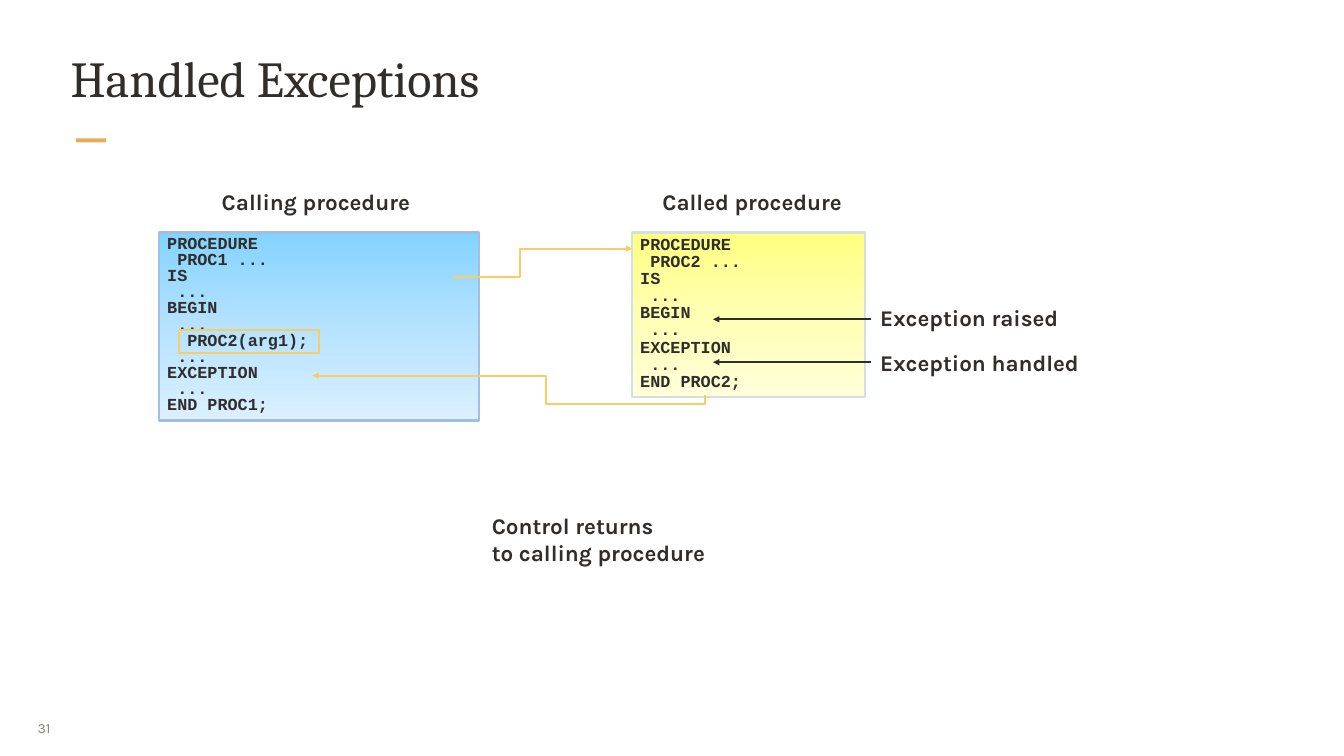
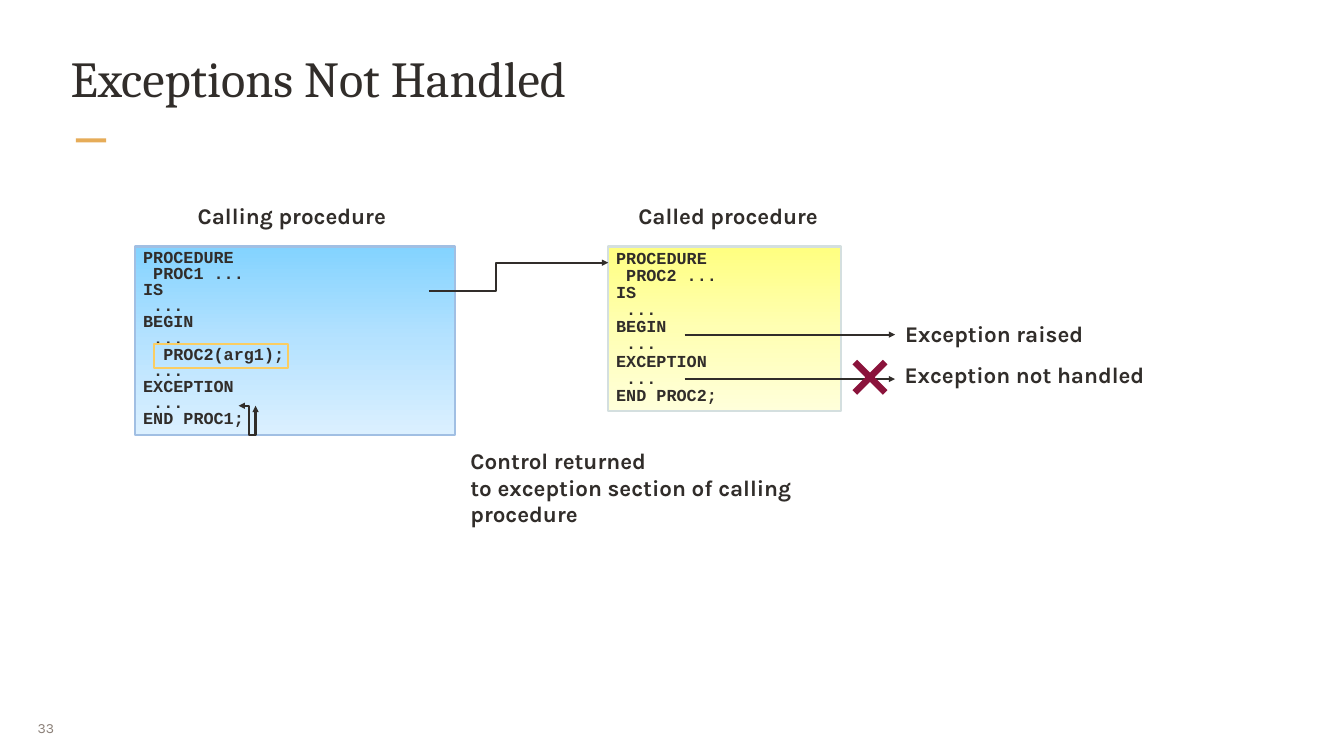
from copy import deepcopy

from lxml.etree import SubElement
from pptx import Presentation
from pptx.dml.color import RGBColor
from pptx.enum.shapes import MSO_CONNECTOR, MSO_SHAPE
from pptx.enum.text import MSO_ANCHOR, MSO_AUTO_SIZE, PP_ALIGN
from pptx.oxml.ns import qn
from pptx.util import Cm, Pt

INK = RGBColor(0x31, 0x2D, 0x2A)
ACCENT = RGBColor(0xE6, 0xAC, 0x58)
GREY = RGBColor(0x8B, 0x80, 0x78)
YELLOW = RGBColor(0xFA, 0xCD, 0x62)
CRIMSON = RGBColor(0x8A, 0x13, 0x3B)
BLUE_EDGE = RGBColor(0xA1, 0xBF, 0xE3)
BLUES = [RGBColor(0x83, 0xD3, 0xFF), RGBColor(0xB5, 0xE2, 0xFF), RGBColor(0xDB, 0xF0, 0xFF)]
PALE_EDGE = RGBColor(0xD4, 0xDF, 0xDF)
YELLOWS = [RGBColor(0xFF, 0xFF, 0x80), RGBColor(0xFF, 0xFF, 0xB3), RGBColor(0xFF, 0xFF, 0xDA)]

CALLING_CODE = ["PROCEDURE", " PROC1 ...", "IS", " ...", "BEGIN", " ...",
                "  PROC2(arg1);", " ...", "EXCEPTION", " ...", "END PROC1;"]
CALLED_CODE = ["PROCEDURE", " PROC2 ...", "IS", " ...", "BEGIN", " ...",
               "EXCEPTION", " ...", "END PROC2;"]

# Procedures, placed relative to the diagram origin:
# heading, heading left and width, box left, width and height, code, spacing, fill, edge
PROCEDURES = [
    ("Calling procedure", -0.43, 12.7, 0, 12.09, 7.11, CALLING_CODE, 0.8, BLUES, BLUE_EDGE),
    ("Called procedure", 16.48, 11.86, 17.88, 8.79, 6.22, CALLED_CODE, 0.85, YELLOWS, PALE_EDGE),
]
CALL_PATH = [(11.1, 1.68), (13.64, 1.68), (13.64, 0.61), (17.88, 0.61)]

# Highlight and return path are relative to the origin, the rest is in slide positions
SLIDES = [
    dict(title="Handled Exceptions", number="31", origin=(6.02, 8.79), path_color=YELLOW,
         highlight=(0.76, 3.68, 5.28, 0.89),
         return_path=[(20.62, 6.15), (20.62, 6.5), (14.61, 6.5), (14.61, 5.41), (5.79, 5.41)],
         return_ends=["tailEnd"],
         arrows=[(32.92, 26.95, 12.07), (32.92, 26.95, 13.69)],
         labels=[("Exception raised", 32.89, 11.28, 11.43, 1.4),
                 ("Exception handled", 32.89, 12.98, 12.32, 1.4),
                 ("Control returns\vto calling procedure", 18.21, 19.15, 13.18, 2.41)],
         cross=None),
    dict(title="Exceptions Not Handled", number="33", origin=(5.11, 9.32), path_color=INK,
         highlight=(0.71, 3.68, 5.08, 0.91),
         return_path=[(4.55, 6.02), (4.55, 7.11), (4.29, 7.11), (4.29, 6.02), (3.91, 6.02)],
         return_ends=["headEnd", "tailEnd"],
         arrows=[(25.88, 33.83, 12.65), (25.88, 33.83, 14.33)],
         labels=[("Exception raised", 33.83, 11.89, 11.43, 1.4),
                 ("Exception not handled", 33.81, 13.46, 12.32, 1.4),
                 ("Control returned\vto exception section of calling procedure",
                  17.4, 16.69, 13.61, 3.43)],
         cross=(31.78, 13.16, 2.21, 2.21)),
]


def write_text(shape, lines, font_name, size, color=INK, bold=True, align=PP_ALIGN.LEFT,
               spacing=None, insets=(0.38, 0.2), anchor=MSO_ANCHOR.TOP, wrap=True):
    frame = shape.text_frame
    frame.word_wrap = wrap
    frame.auto_size = MSO_AUTO_SIZE.NONE
    frame.vertical_anchor = anchor
    frame.margin_left = frame.margin_right = Cm(insets[0])
    frame.margin_top = frame.margin_bottom = Cm(insets[1])
    for index, line in enumerate(lines):
        paragraph = frame.paragraphs[0] if index == 0 else frame.add_paragraph()
        paragraph.text = line
        paragraph.alignment = align
        paragraph.line_spacing = spacing
        font = paragraph.font
        font.name, font.size, font.bold = font_name, Pt(size), bold
        font.color.rgb = color


def style_line(shape, color, ends=()):
    shape.line.color.rgb = color
    shape.line.width = Pt(2.25)
    line = shape._element.spPr.find(qn("a:ln"))
    for end in ends:
        SubElement(line, qn(f"a:{end}"), type="triangle")


presentation = Presentation()
presentation.slide_width = Cm(50.8)
presentation.slide_height = Cm(28.58)

for content in SLIDES:
    slide = presentation.slides.add_slide(presentation.slide_layouts[5])
    shapes = slide.shapes
    left, top = content["origin"]

    # Title, accent bar and slide number
    title = shapes.title
    title.left, title.top, title.width, title.height = Cm(2.59), Cm(1.7), Cm(45.62), Cm(3.25)
    write_text(title, [content["title"]], "Cambria", 54, bold=False, insets=(0.08, 0.08))
    bar = shapes.add_shape(MSO_SHAPE.RECTANGLE, Cm(2.87), Cm(5.23), Cm(1.14), Cm(0.15))
    bar.shadow.inherit = False
    bar.fill.solid()
    bar.fill.fore_color.rgb = ACCENT
    bar.line.fill.background()
    number = shapes.add_textbox(Cm(1.09), Cm(26.77), Cm(1.65), Cm(1.47))
    write_text(number, [content["number"]], "Karla", 15, GREY, bold=False,
               align=PP_ALIGN.JUSTIFY, insets=(0.33, 0.18), anchor=MSO_ANCHOR.MIDDLE, wrap=False)

    # Procedures with their headings
    for (heading, heading_left, heading_width, box_left, width, height,
         code, spacing, colors, edge) in PROCEDURES:
        heading_box = shapes.add_textbox(Cm(left + heading_left), Cm(top - 1.8),
                                         Cm(heading_width), Cm(1.35))
        write_text(heading_box, [heading], "Karla", 24, align=PP_ALIGN.CENTER, spacing=0.95)
        box = shapes.add_shape(MSO_SHAPE.RECTANGLE, Cm(left + box_left), Cm(top),
                               Cm(width), Cm(height))
        box.shadow.inherit = False
        box.fill.gradient()
        box.fill.gradient_angle = 270
        stop_list = box._element.spPr.find(qn("a:gradFill")).find(qn("a:gsLst"))
        stop_list.insert(1, deepcopy(stop_list[0]))
        for stop, position, color in zip(box.fill.gradient_stops, (0, 0.5, 1), colors):
            stop.position = position
            stop.color.rgb = color
        style_line(box, edge)
        write_text(box, code, "Courier New", 18, spacing=spacing, insets=(0.3, 0.15))

    # Frame around the call
    x, y, width, height = content["highlight"]
    highlight = shapes.add_shape(MSO_SHAPE.RECTANGLE, Cm(left + x), Cm(top + y),
                                 Cm(width), Cm(height))
    highlight.shadow.inherit = False
    highlight.fill.background()
    style_line(highlight, YELLOW)

    # Paths of control: the call and the return
    for path_points, ends in ((CALL_PATH, ["tailEnd"]),
                              (content["return_path"], content["return_ends"])):
        points = [(Cm(left + x), Cm(top + y)) for x, y in path_points]
        builder = shapes.build_freeform(*points[0])
        builder.add_line_segments(points[1:], close=False)
        control_path = builder.convert_to_shape()
        control_path.shadow.inherit = False
        control_path.fill.background()
        style_line(control_path, content["path_color"], ends)

    # Exception arrows
    for start, end, y in content["arrows"]:
        arrow = shapes.add_connector(MSO_CONNECTOR.STRAIGHT, Cm(start), Cm(y), Cm(end), Cm(y))
        style_line(arrow, INK, ["tailEnd"])
        SubElement(arrow._element.spPr, qn("a:effectLst"))

    # Labels
    for text, *place in content["labels"]:
        label = shapes.add_textbox(*map(Cm, place))
        write_text(label, [text], "Karla", 24)

    # Cross over the missing handler
    if content["cross"]:
        cross = shapes.add_shape(MSO_SHAPE.MATH_MULTIPLY, *map(Cm, content["cross"]))
        cross.adjustments[0] = 0.112
        cross.shadow.inherit = False
        cross.fill.solid()
        cross.fill.fore_color.rgb = CRIMSON
        cross.line.fill.background()

presentation.save("out.pptx")
